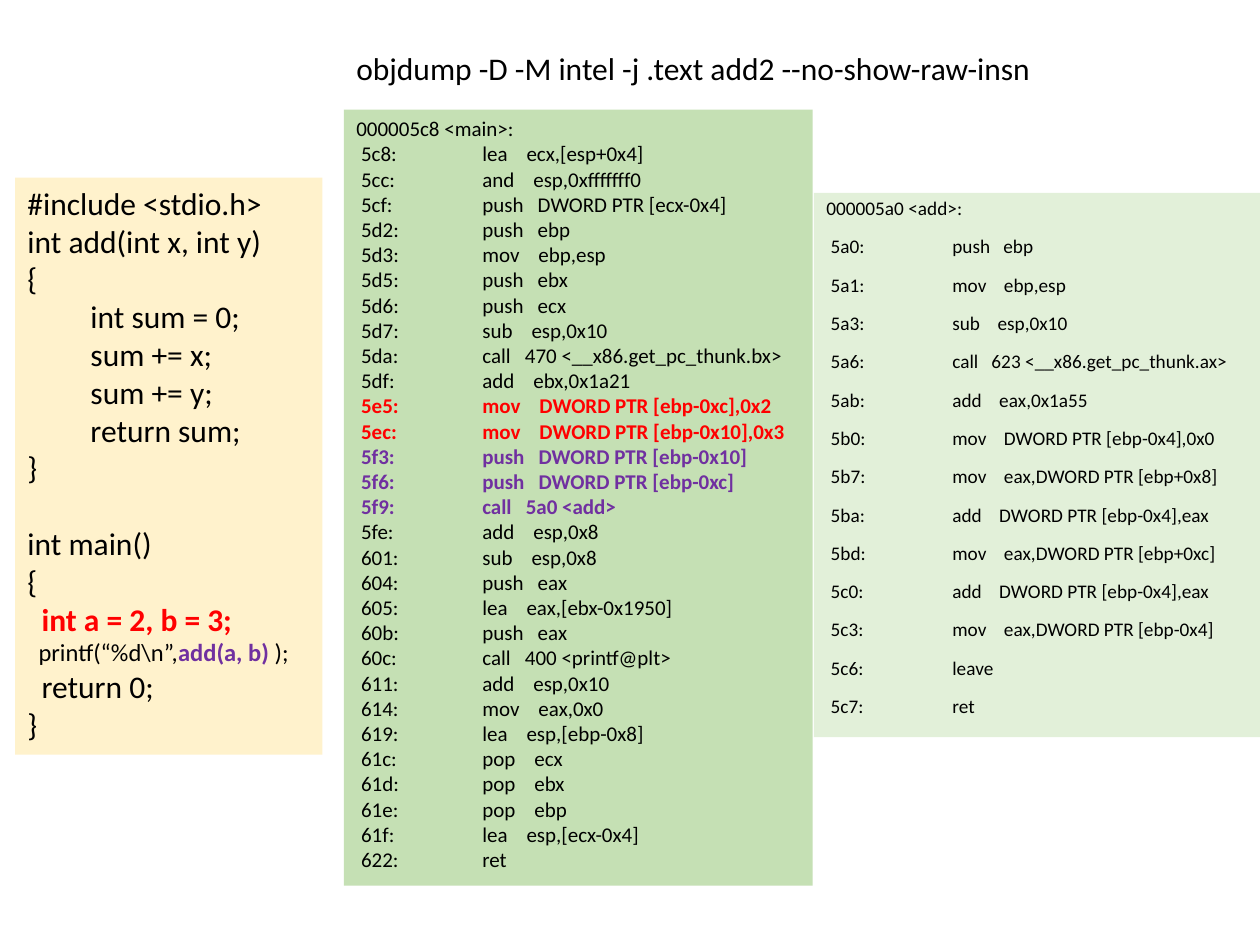
from lxml.etree import SubElement
from pptx import Presentation
from pptx.dml.color import RGBColor
from pptx.enum.text import MSO_AUTO_SIZE as AutoSize
from pptx.oxml.ns import qn
from pptx.util import Inches, Pt

FONT = "Calibri"
COLORS = {
    "text": "000000",
    "assign": "FF0000",
    "call": "7030A0",
    "source": "FFF2CC",
    "main": "C5E0B4",
    "add": "E2F0D9",
}

COMMAND = "objdump -D -M intel -j .text add2 --no-show-raw-insn"

ADD_ASM = [
    ("5a0", "push   ebp"),
    ("5a1", "mov    ebp,esp"),
    ("5a3", "sub    esp,0x10"),
    ("5a6", "call   623 <__x86.get_pc_thunk.ax>"),
    ("5ab", "add    eax,0x1a55"),
    ("5b0", "mov    DWORD PTR [ebp-0x4],0x0"),
    ("5b7", "mov    eax,DWORD PTR [ebp+0x8]"),
    ("5ba", "add    DWORD PTR [ebp-0x4],eax"),
    ("5bd", "mov    eax,DWORD PTR [ebp+0xc]"),
    ("5c0", "add    DWORD PTR [ebp-0x4],eax"),
    ("5c3", "mov    eax,DWORD PTR [ebp-0x4]"),
    ("5c6", "leave"),
    ("5c7", "ret"),
]

MAIN_ASM = [
    ("5c8", "lea    ecx,[esp+0x4]"),
    ("5cc", "and    esp,0xfffffff0"),
    ("5cf", "push   DWORD PTR [ecx-0x4]"),
    ("5d2", "push   ebp"),
    ("5d3", "mov    ebp,esp"),
    ("5d5", "push   ebx"),
    ("5d6", "push   ecx"),
    ("5d7", "sub    esp,0x10"),
    ("5da", "call   470 <__x86.get_pc_thunk.bx>"),
    ("5df", "add    ebx,0x1a21"),
    ("5e5", "mov    DWORD PTR [ebp-0xc],0x2"),
    ("5ec", "mov    DWORD PTR [ebp-0x10],0x3"),
    ("5f3", "push   DWORD PTR [ebp-0x10]"),
    ("5f6", "push   DWORD PTR [ebp-0xc]"),
    ("5f9", "call   5a0 <add>"),
    ("5fe", "add    esp,0x8"),
    ("601", "sub    esp,0x8"),
    ("604", "push   eax"),
    ("605", "lea    eax,[ebx-0x1950]"),
    ("60b", "push   eax"),
    ("60c", "call   400 <printf@plt>"),
    ("611", "add    esp,0x10"),
    ("614", "mov    eax,0x0"),
    ("619", "lea    esp,[ebp-0x8]"),
    ("61c", "pop    ecx"),
    ("61d", "pop    ebx"),
    ("61e", "pop    ebp"),
    ("61f", "lea    esp,[ecx-0x4]"),
    ("622", "ret"),
]

HIGHLIGHTS = {
    "5e5": "assign", "5ec": "assign",
    "5f3": "call", "5f6": "call", "5f9": "call",
}

ADD_SOURCE = ["#include <stdio.h>", "int add(int x, int y)", "{"]
ADD_BODY = ["int sum = 0;", "sum += x;", "sum += y;", "return sum;"]


def add_panel(s, left, top, width, height, fill=None):
    sp = s.shapes.add_textbox(Inches(left), Inches(top), Inches(width), Inches(height))
    if fill:
        sp.fill.solid()
        sp.fill.fore_color.rgb = RGBColor.from_string(COLORS[fill])
    sp.text_frame.word_wrap = True
    sp.text_frame.auto_size = AutoSize.SHAPE_TO_FIT_TEXT
    return sp.text_frame


def add_line(tf, *parts, size):
    p = tf.paragraphs[0]
    if p.runs:
        p = tf.add_paragraph()
    for text, color in parts:
        r = p.add_run()
        r.text = text
        r.font.name = FONT
        r.font.size = Pt(size)
        r.font.bold = color != "text"
        r.font.color.rgb = RGBColor.from_string(COLORS[color])
    return p


def add_tab_stop(p, position):
    tabs = SubElement(p._p.get_or_add_pPr(), qn("a:tabLst"))
    SubElement(tabs, qn("a:tab"), pos=str(Inches(position)), algn="l")


def add_listing(tf, label, rows, size):
    add_line(tf, (label, "text"), size=size)
    for address, instruction in rows:
        color = HIGHLIGHTS.get(address, "text")
        p = add_line(tf, (f" {address}:\t{instruction}", color), size=size)
        add_tab_stop(p, 1)


def add_source(tf):
    for text in ADD_SOURCE:
        add_line(tf, (text, "text"), size=18)
    for text in ADD_BODY:
        p = add_line(tf, (text, "text"), size=18)
        p.level = 1
        p._p.get_or_add_pPr().set("marL", str(Inches(0.5)))
    add_line(tf, ("}", "text"), size=18)
    add_line(tf, ("int main()", "text"), size=18).space_before = Pt(21.6)
    add_line(tf, ("{", "text"), size=18)
    add_line(tf, ("  int a = 2, b = 3;", "assign"), size=18)
    add_line(tf, ("  printf(“%d\\n”,", "text"), ("add(a, b) ", "call"), (");", "text"), size=14)
    for text in ("  return 0;", "}"):
        add_line(tf, (text, "text"), size=18)


def main():
    prs = Presentation()
    prs.slide_width, prs.slide_height = Inches(10), Inches(7.5)
    s = prs.slides.add_slide(prs.slide_layouts[6])

    tf = add_panel(s, 6.46, 1.53, 3.58, 4.32, "add")
    tf.auto_size = AutoSize.NONE
    add_listing(tf, "000005a0 <add>:", ADD_ASM, 11)
    for i, p in enumerate(tf.paragraphs):
        p.line_spacing = 0.9
        p.space_before = Pt(10 if i else 0)

    add_listing(add_panel(s, 2.73, 0.87, 3.72, 6.16, "main"), "000005c8 <main>:", MAIN_ASM, 12)
    add_source(add_panel(s, 0.12, 1.41, 2.44, 4.58, "source"))
    add_line(add_panel(s, 2.73, 0.34, 6.43, 0.4), (COMMAND, "text"), size=18)

    prs.save("out.pptx")


if __name__ == "__main__":
    main()
